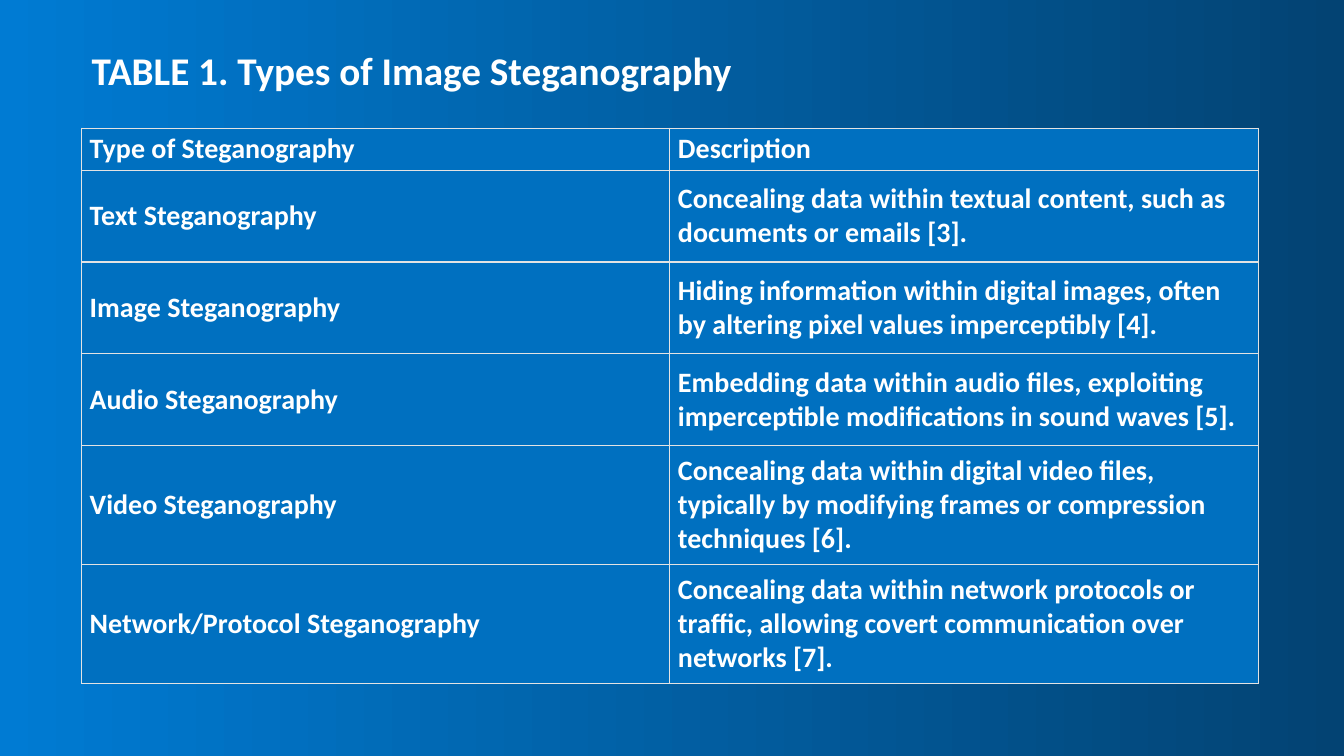
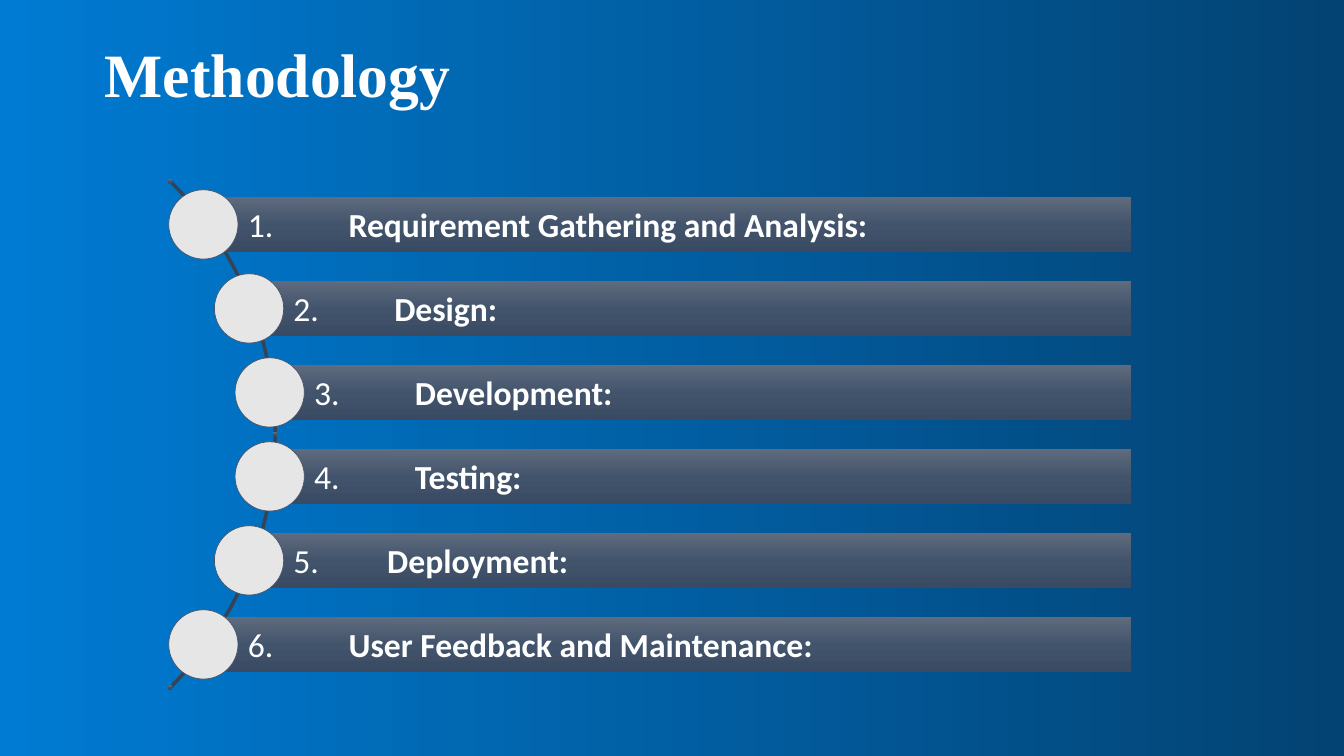
from copy import deepcopy
from math import cos, pi, sin, sqrt

from lxml import etree
from pptx import Presentation
from pptx import util as u
from pptx.dml.color import RGBColor
from pptx.enum import shapes, text
from pptx.oxml.ns import qn

WIDE, HIGH = 13.33, 7.5
HUES = {"left": "007BD3", "right": "034373", "cell": "0070C0", "rule": "E3E3E3",
        "white": "FFFFFF", "dot": "E7E6E6", "rim": "44546A", "arc": "364355",
        "top": "606B7D", "mid": "42546C", "low": "394A62"}
BODY = {"name": "Calibri", "size": u.Pt(20), "bold": True}
LABEL = {"name": "Calibri", "size": u.Pt(24)}
HEADS = {"table": {"name": "Calibri", "size": u.Pt(28), "bold": True},
         "steps": {"name": "Times New Roman", "size": u.Pt(44), "bold": True}}

KINDS = [
    ("Type of Steganography", "Description"),
    ("Text Steganography",
     "Concealing data within textual content, such as documents or emails [3]."),
    ("Image Steganography",
     "Hiding information within digital images, often by altering pixel values imperceptibly [4]."),
    ("Audio Steganography",
     "Embedding data within audio files, exploiting imperceptible modifications in sound waves [5]."),
    ("Video Steganography",
     "Concealing data within digital video files, typically by modifying frames or compression techniques [6]."),
    ("Network/Protocol Steganography",
     "Concealing data within network protocols or traffic, allowing covert communication over networks [7]."),
]
ROWS = [0.42, 0.91, 0.91, 0.91, 1.18, 1.18]
STEPS = ["Requirement Gathering and Analysis:", "Design:", "Development:",
         "Testing:", "Deployment:", "User Feedback and Maintenance:"]
TABS = [1, 1, 1, 1, 0.93, 1]


def hue(key):
    """Return the named colour."""
    return RGBColor.from_string(HUES[key])


def apply(item, values):
    """Set attributes of an item from a dict."""
    for key, value in values.items():
        setattr(item, key, value)


def inch(*sizes):
    """Turn lengths in inches into whole units."""
    return [u.Inches(size) for size in sizes]


def style(run, form):
    """Give a run its font values in white."""
    apply(run.font, form)
    run.font.color.rgb = hue("white")


def blend(fill, keys, angle):
    """Fill with a two-colour gradient."""
    fill.gradient()
    fill.gradient_angle = angle
    for stop, key, place in zip(fill.gradient_stops, keys, (0, 1)):
        stop.color.rgb = hue(key)
        stop.position = place


def shade(shape):
    """Fill a shape from top to bottom with the three bar colours."""
    blend(shape.fill, ("top", "low"), 270)
    stops = shape._element.spPr.find(".//" + qn("a:gsLst"))
    middle = deepcopy(stops[0])
    middle.set("pos", "50000")
    middle[0].set("val", HUES["mid"])
    stops.insert(1, middle)


def add(slide, kind, box):
    """Add a preset shape without shadow or line."""
    shape = slide.shapes.add_shape(kind, *inch(*box))
    shape.shadow.inherit = False
    shape.line.fill.background()
    return shape


def head(slide, words, box, form):
    """Place and format the title."""
    title = slide.shapes.title
    apply(title, dict(zip(("left", "top", "width", "height"), inch(*box))))
    frame = title.text_frame
    apply(frame, {"text": words, "word_wrap": True, "auto_size": text.MSO_AUTO_SIZE.NONE,
                  "vertical_anchor": text.MSO_ANCHOR.MIDDLE})
    frame.paragraphs[0].alignment = text.PP_ALIGN.LEFT
    style(frame.paragraphs[0].runs[0], form)


def edge(cell, widths):
    """Draw the four borders of a cell, in points."""
    props = cell._tc.get_or_add_tcPr()
    for side, width in zip("LRTB", widths):
        line = etree.SubElement(props, qn("a:ln" + side), w=str(u.Pt(width)))
        fill = etree.SubElement(line, qn("a:solidFill"))
        etree.SubElement(fill, qn("a:srgbClr"), val=HUES["rule"])


def grid(slide, box, data, rows):
    """Fill a box with a ruled table of equal columns."""
    left, top, width = box
    cols = len(data[0])
    table = slide.shapes.add_table(len(data), cols,
                                   *inch(left, top, width, sum(rows))).table
    apply(table, {"first_row": False, "horz_banding": False})
    for col in table.columns:
        col.width = u.Inches(width / cols)
    last = len(data) - 1
    for r, line in enumerate(data):
        table.rows[r].height = u.Inches(rows[r])
        anchor = text.MSO_ANCHOR.MIDDLE if r else text.MSO_ANCHOR.BOTTOM
        for c, words in enumerate(line):
            cell = table.cell(r, c)
            apply(cell, {"text": words, "vertical_anchor": anchor,
                         "margin_left": u.Inches(0.08), "margin_right": u.Inches(0.08),
                         "margin_top": u.Inches(0.04), "margin_bottom": u.Inches(0.04)})
            edge(cell, (0.75, 0.75, 1 if r else 0.75, 1 if r < last else 0.75))
            cell.fill.solid()
            cell.fill.fore_color.rgb = hue("cell")
            style(cell.text_frame.paragraphs[0].runs[0], BODY)


def curve(slide, mid, radius):
    """Draw the quarter arc that opens to the left."""
    points = [inch(mid[0] + radius * cos(a), mid[1] + radius * sin(a))
              for a in (pi * (n / 60 - 0.5) / 2 for n in range(61))]
    path = slide.shapes.build_freeform(*points[0])
    path.add_line_segments(points[1:], close=False)
    arc = path.convert_to_shape()
    arc.shadow.inherit = False
    arc.fill.background()
    arc.line.color.rgb = hue("arc")
    arc.line.width = u.Pt(2.5)


def step(slide, box, num, words, tab):
    """Draw a numbered bar with a disc centred on its left end."""
    left, top, _, high = box
    bar = add(slide, shapes.MSO_SHAPE.RECTANGLE, box)
    shade(bar)
    frame = bar.text_frame
    apply(frame, {"word_wrap": True, "vertical_anchor": text.MSO_ANCHOR.MIDDLE,
                  "margin_left": u.Inches(0.8 * high), "margin_right": u.Inches(0.07),
                  "margin_top": u.Inches(0.07), "margin_bottom": u.Inches(0.07)})
    para = frame.paragraphs[0]
    para.alignment = text.PP_ALIGN.LEFT
    stops = etree.SubElement(para._p.get_or_add_pPr(), qn("a:tabLst"))
    etree.SubElement(stops, qn("a:tab"), pos=str(u.Inches(tab)), algn="l")
    for part, bold in ((f"{num}.\t", False), (words, True)):
        run = para.add_run()
        run.text = part
        style(run, {**LABEL, "bold": bold})
    size = 1.25 * high
    dot = add(slide, shapes.MSO_SHAPE.OVAL,
              (left - size / 2, top + (high - size) / 2, size, size))
    dot.fill.solid()
    dot.fill.fore_color.rgb = hue("dot")
    dot.line.color.rgb = hue("rim")
    dot.line.width = u.Pt(0.5)


def steps(slide, box, items):
    """Spread the bars in a box, their left ends following an arc."""
    left, top, width, height = box
    radius, high, tick = 3.55, 0.55, 0.04
    mid = (left + width - 12.04, top + height / 2)
    pitch = height / len(items)
    curve(slide, mid, radius)
    for n, words in enumerate(items):
        y = top + pitch * (n + 0.5)
        x = mid[0] + sqrt((radius - 0.03) ** 2 - (y - mid[1]) ** 2)
        step(slide, (x, y - high / 2, left + width - x, high), n + 1, words, TABS[n])
    for turn in (-1, 0, 1):
        x = mid[0] + radius * cos(turn * pi / 4) - tick / 2
        y = mid[1] + radius * sin(turn * pi / 4) - tick / 2
        shade(add(slide, shapes.MSO_SHAPE.RECTANGLE, (x, y, tick, tick)))


def main():
    """Build and save both slides."""
    deck = Presentation()
    apply(deck, {"slide_width": u.Inches(WIDE), "slide_height": u.Inches(HIGH)})
    blend(deck.slide_master.background.fill, ("left", "right"), 0)
    first, second = (deck.slides.add_slide(deck.slide_layouts[5]) for _ in range(2))
    head(first, "TABLE 1. Types of Image Steganography", (0.81, 0.41, 6.9, 0.57), HEADS["table"])
    grid(first, (0.81, 1.27, 11.67), KINDS, ROWS)
    head(second, "Methodology", (0.94, 0, 11.5, 1.45), HEADS["steps"])
    steps(second, (1.67, 1.81, 9.55, 5), STEPS)
    deck.save("out.pptx")


if __name__ == "__main__":
    main()
